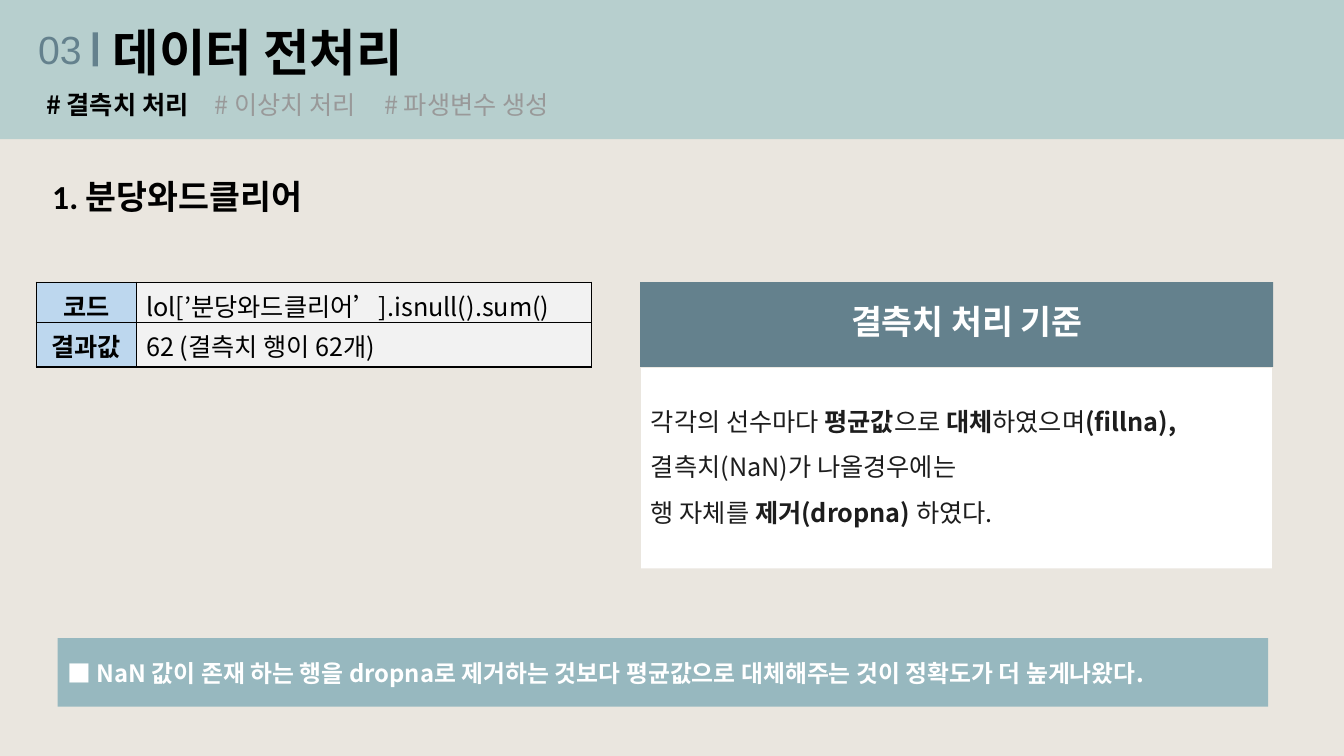
"""Build the slide on missing-value handling; lengths are percent of the slide."""
from lxml import etree
from pptx import Presentation
from pptx import util as u
from pptx.dml.color import RGBColor
from pptx.enum import shapes, text
from pptx.oxml import ns

theme = {
    "page": "EAE6DF", "band": "B7CFCE", "slate": "64818D", "note": "97B8BF",
    "white": "FFFFFF", "black": "000000", "ink": "1D1D1D", "dim": "999999",
    "key": "BDD7EE", "cell": "F2F2F2", "sans": "Noto Sans CJK KR",
    "big": 36, "num": 28, "head": 24, "base": 18, "small": 17,
}
deck = Presentation()
deck.slide_width, deck.slide_height = u.Inches(13.33), u.Inches(7.5)
wide, high = deck.slide_width / 100, deck.slide_height / 100
slide = deck.slides.add_slide(deck.slide_layouts[6])
slide.background.fill.solid()
slide.background.fill.fore_color.rgb = RGBColor.from_string(theme["page"])


def place(x, y, w, h):
    """Turn percent shares into slide lengths."""
    return int(x * wide), int(y * high), int(w * wide), int(h * high)


def write(para, runs, size, face=theme["sans"]):
    """Add (text, bold, colour) runs to a paragraph."""
    for words, bold, tint in runs:
        run = para.add_run()
        run.text = words
        font = run.font
        font.size, font.bold, font.name = u.Pt(theme[size]), bold, face
        font.color.rgb = RGBColor.from_string(theme[tint])
        east = etree.SubElement(run._r.get_or_add_rPr(), ns.qn("a:ea"))
        east.set("typeface", theme["sans"])


blocks = [
    ("band", (0, 0, 100, 18.4)),
    ("slate", (6.9, 4.27, 0.38, 4.53)),
    ("slate", (47.63, 37.33, 47.1, 11.2)),
    ("white", (47.7, 48.67, 46.95, 26.53)),
    ("note", (4.28, 84.4, 90.08, 9.07)),
]
for tint, area in blocks:
    block = slide.shapes.add_shape(shapes.MSO_SHAPE.RECTANGLE, *place(*area))
    block.shadow.inherit = False
    block.fill.solid()
    block.fill.fore_color.rgb = RGBColor.from_string(theme[tint])
    block.line.fill.background()

left, mid = text.PP_ALIGN.LEFT, text.PP_ALIGN.CENTER
labels = [
    ((2.7, 11.2, 62.85, 4), "base", theme["sans"], left, 1, 0.05, [
        [("# 결측치 처리", True, "black"),
         ("\t# 이상치 처리\t# 파생변수 생성", False, "dim")]]),
    ((2.1, 2.67, 5.55, 7.6), "num", "Arial", left, 1, 0.05, [
        [("03", False, "slate")]]),
    ((7.65, 2.13, 31.7, 7.6), "big", theme["sans"], left, 1, 0.05, [
        [("데이터 전처리", True, "black")]]),
    ((49.95, 39.2, 44.55, 7.6), "head", theme["sans"], mid, 1, 0.05, [
        [("결측치 처리 기준 ", True, "white")]]),
    ((47.7, 51.07, 46.95, 19.47), "base", theme["sans"], left, 1.5, 0.05, [
        [("각각의 선수마다 ", False, "ink"), ("평균값", True, "ink"),
         ("으로 ", False, "ink"), ("대체", True, "ink"),
         ("하였으며", False, "ink"), ("(fillna),", True, "ink")],
        [("결측치(NaN)가 나올경우에는", False, "ink")],
        [("행 자체를 ", False, "ink"), ("제거(dropna) ", True, "ink"),
         ("하였다.", False, "ink")]]),
    ((3.15, 22, 38.4, 6.93), "head", "Calibri", left, 1, 0.1, [
        [("1. 분당와드클리어", True, "black")]]),
    ((4.28, 86.53, 91.7, 5.73), "small", theme["sans"], left, 1, 0.05, [
        [("■ NaN 값이 존재 하는 행을 dropna로 제거하는 것보다 "
          "평균값으로 대체해주는 것이 정확도가 더 높게나왔다.", True, "white")]]),
]
for area, size, face, align, gap, pad, lines in labels:
    frame = slide.shapes.add_textbox(*place(*area)).text_frame
    frame.word_wrap = True
    frame.margin_top = frame.margin_bottom = u.Inches(pad)
    for n, runs in enumerate(lines):
        para = frame.add_paragraph() if n else frame.paragraphs[0]
        para.alignment, para.line_spacing = align, gap
        if any("\t" in run[0] for run in runs):
            tabs = etree.SubElement(para._p.get_or_add_pPr(), ns.qn("a:tabLst"))
            for share in (12.55, 25.15):
                stop = etree.SubElement(tabs, ns.qn("a:tab"))
                stop.set("pos", str(int(share * wide)))
                stop.set("algn", "l")
        write(para, runs, size, face)

rows = [("코드", "lol[’분당와드클리어’].isnull().sum()"),
        ("결과값", "62 (결측치 행이 62개)")]
grid = slide.shapes.add_table(2, 2, *place(2.7, 37.33, 41.33, 11.2)).table
for col, share in zip(grid.columns, (7.43, 33.9)):
    col.width = int(share * wide)
for row, share in zip(grid.rows, (5.33, 5.87)):
    row.height = int(share * high)
for r, row in enumerate(rows):
    for c, words in enumerate(row):
        cell = grid.cell(r, c)
        para = cell.text_frame.paragraphs[0]
        para.alignment = left if c else mid
        write(para, [(words, c == 0, "black")], "base")
        props = cell._tc.get_or_add_tcPr()
        for side in ("lnL", "lnR", "lnT", "lnB"):
            edge = etree.SubElement(props, ns.qn("a:" + side), w=str(u.Pt(1)))
            fill = etree.SubElement(edge, ns.qn("a:solidFill"))
            etree.SubElement(fill, ns.qn("a:srgbClr"), val=theme["black"])
        cell.fill.solid()
        cell.fill.fore_color.rgb = RGBColor.from_string(theme["cell" if c else "key"])

deck.save("out.pptx")
